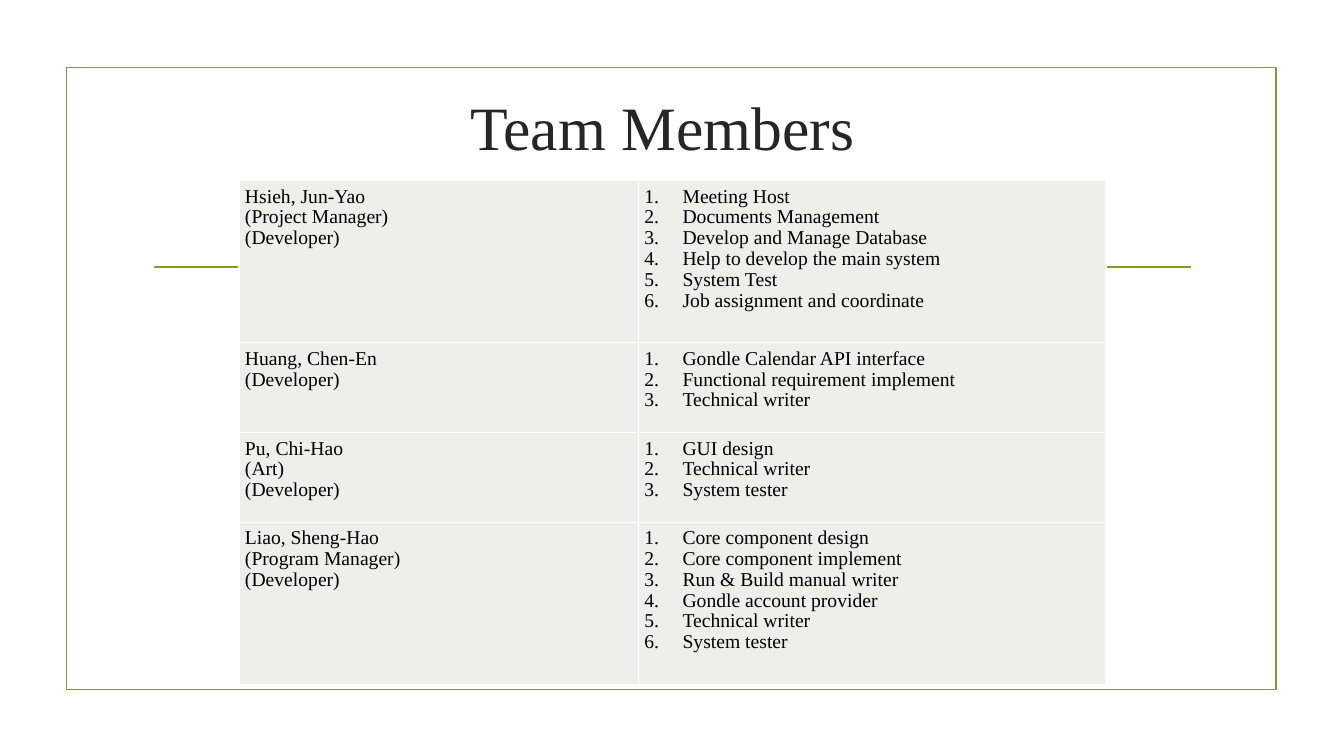
"""Build the Team Members slide: a framed title above a table of people and duties."""
from dataclasses import dataclass

from lxml.etree import SubElement
from pptx import Presentation
from pptx.dml.color import RGBColor
from pptx.enum.shapes import MSO_CONNECTOR as Connector, MSO_SHAPE as Preset
from pptx.enum.text import MSO_ANCHOR as Anchor, PP_ALIGN as Align
from pptx.oxml.ns import qn
from pptx.slide import Slide
from pptx.table import _Cell as Cell
from pptx.text.text import TextFrame
from pptx.util import Pt

EMU_PER_PX = 9144


@dataclass(frozen=True)
class Theme:
    font: str = "Times New Roman"
    olive: str = "83992A"
    title_ink: str = "262626"
    body_ink: str = "000000"
    cell_fill: str = "EDEFE8"
    cell_border: str = "FFFFFF"
    title_size: int = 44
    body_size: int = 14
    rule_width: float = 1.25
    border_width: float = 1


@dataclass(frozen=True)
class Member:
    about: tuple[str, ...]
    duties: tuple[str, ...]
    height: int


THEME = Theme()
COLUMN_WIDTHS = (396, 464)
CELL_INSET = 6
NUMBER_INDENT = 38
MEMBERS = (
    Member(
        ("Hsieh, Jun-Yao", "(Project Manager)", "(Developer)"),
        ("Meeting Host", "Documents Management", "Develop and Manage Database",
         "Help to develop the main system", "System Test", "Job assignment and coordinate"),
        161,
    ),
    Member(
        ("Huang, Chen-En", "(Developer)"),
        ("Gondle Calendar API interface", "Functional requirement implement", "Technical writer"),
        89,
    ),
    Member(
        ("Pu, Chi-Hao", "(Art)", "(Developer)"),
        ("GUI design", "Technical writer", "System tester"),
        89,
    ),
    Member(
        ("Liao, Sheng-Hao", "(Program Manager)", "(Developer)"),
        ("Core component design", "Core component implement", "Run & Build manual writer",
         "Gondle account provider", "Technical writer", "System tester"),
        161,
    ),
)


def px(length: int) -> int:
    """Turn a length in px into EMU."""
    return length * EMU_PER_PX


def assign(target: object, values: dict[str, object]) -> None:
    """Set each named attribute on the target."""
    for name, value in values.items():
        setattr(target, name, value)


def write_lines(frame: TextFrame, lines: tuple[str, ...], size: int, ink: str,
                paragraph_format: dict[str, object]) -> None:
    """Write one styled paragraph for each line."""
    for index, line in enumerate(lines):
        paragraph = frame.paragraphs[0] if index == 0 else frame.add_paragraph()
        assign(paragraph, paragraph_format)
        run = paragraph.add_run()
        run.text = line
        assign(run.font, {"name": THEME.font, "size": Pt(size), "bold": False})
        run.font.color.rgb = RGBColor.from_string(ink)


def draw_frame(slide: Slide) -> None:
    """Draw the olive border and the rule that passes behind the table."""
    border = slide.shapes.add_shape(Preset.RECTANGLE, px(66), px(67), px(1200), px(617))
    border.shadow.inherit = False
    border.fill.background()
    rule = slide.shapes.add_connector(Connector.STRAIGHT, px(153), px(265), px(1181), px(265))
    SubElement(rule._element.spPr, qn("a:effectLst"))
    for outline in (border.line, rule.line):
        outline.color.rgb = RGBColor.from_string(THEME.olive)
        outline.width = Pt(THEME.rule_width)


def draw_title(slide: Slide) -> None:
    """Place the centred title."""
    title = slide.shapes.add_textbox(px(132), px(53), px(1050), px(143)).text_frame
    assign(title, {"word_wrap": True, "vertical_anchor": Anchor.MIDDLE})
    write_lines(title, ("Team Members",), THEME.title_size, THEME.title_ink,
                {"alignment": Align.CENTER})


def style_cell(cell: Cell) -> None:
    """Give a cell its insets, borders and fill."""
    sides = ("left", "right", "top", "bottom")
    assign(cell, {f"margin_{side}": px(CELL_INSET) for side in sides})
    cell.vertical_anchor = Anchor.TOP
    properties = cell._tc.get_or_add_tcPr()
    for side in sides:
        edge = SubElement(properties, qn(f"a:ln{side[0].upper()}"), w=str(Pt(THEME.border_width)))
        paint = SubElement(edge, qn("a:solidFill"))
        SubElement(paint, qn("a:srgbClr"), val=THEME.cell_border)
    cell.fill.solid()
    cell.fill.fore_color.rgb = RGBColor.from_string(THEME.cell_fill)


def number_lines(frame: TextFrame) -> None:
    """Number the paragraphs with a hanging indent."""
    for paragraph in frame.paragraphs:
        properties = paragraph._p.get_or_add_pPr()
        properties.set("marL", str(px(NUMBER_INDENT)))
        properties.set("indent", str(-px(NUMBER_INDENT)))
        SubElement(properties, qn("a:buFont"), typeface="+mj-lt")
        SubElement(properties, qn("a:buAutoNum"), type="arabicPeriod")


def draw_members(slide: Slide) -> None:
    """Fill the table with one row for each member."""
    total_height = sum(member.height for member in MEMBERS)
    roster = slide.shapes.add_table(len(MEMBERS), len(COLUMN_WIDTHS), px(237), px(179),
                                    px(sum(COLUMN_WIDTHS)), px(total_height)).table
    assign(roster, {"first_row": False, "horz_banding": False})
    for column, width in zip(roster.columns, COLUMN_WIDTHS):
        column.width = px(width)
    for row, member in zip(roster.rows, MEMBERS):
        row.height = px(member.height)
        for cell, lines in zip(row.cells, (member.about, member.duties)):
            style_cell(cell)
            write_lines(cell.text_frame, lines, THEME.body_size, THEME.body_ink,
                        {"alignment": Align.LEFT, "line_spacing": 0.96})
        number_lines(row.cells[1].text_frame)


def main() -> None:
    """Build and save the slide."""
    deck = Presentation()
    assign(deck, {"slide_width": px(1333), "slide_height": px(750)})
    slide = deck.slides.add_slide(deck.slide_layouts[6])
    draw_frame(slide)
    draw_title(slide)
    draw_members(slide)
    deck.save("out.pptx")


if __name__ == "__main__":
    main()
